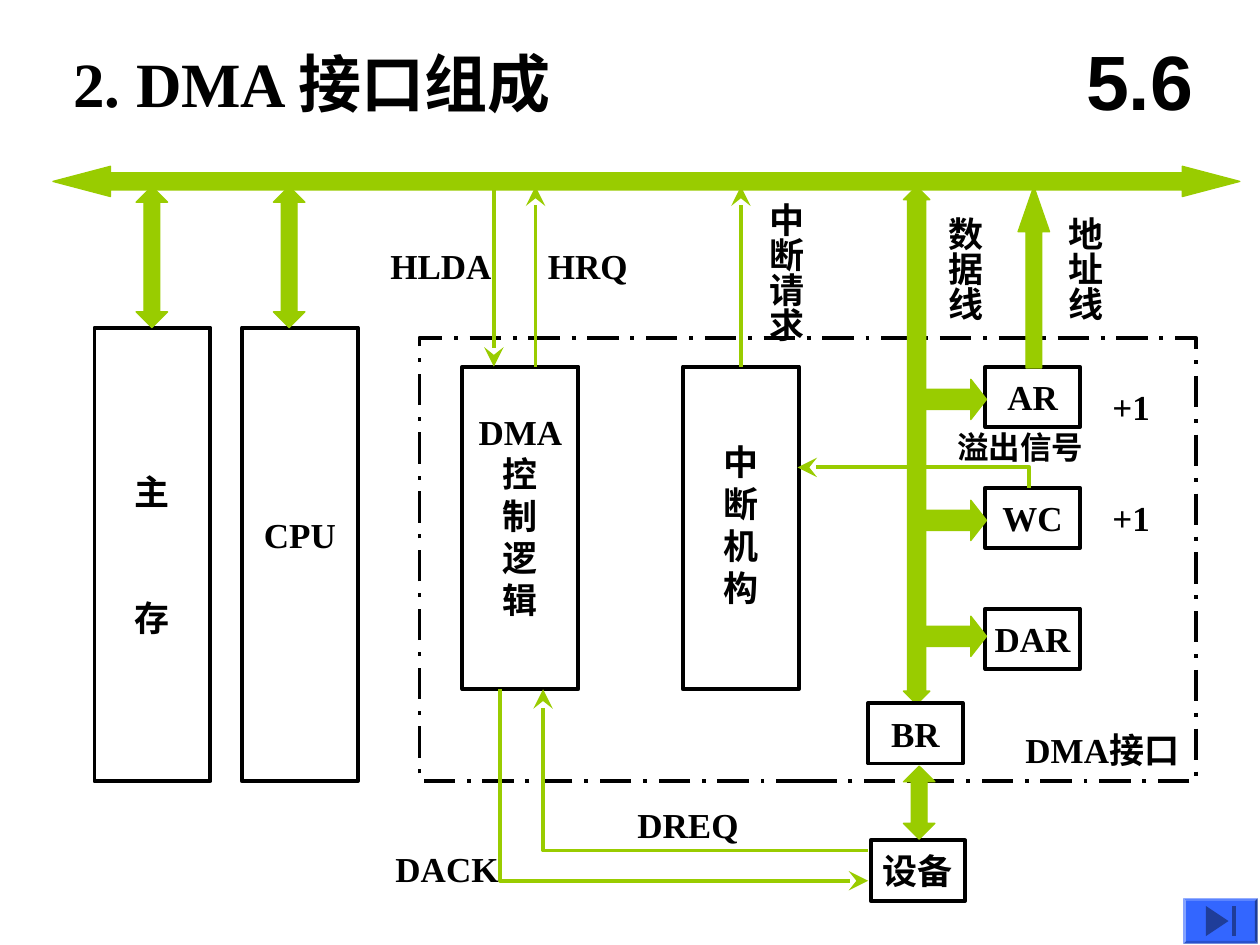
from lxml.etree import SubElement
from pptx import Presentation
from pptx.dml.color import RGBColor
from pptx.enum.dml import MSO_LINE
from pptx.enum.shapes import MSO_CONNECTOR, MSO_SHAPE as SHAPE
from pptx.enum.text import MSO_ANCHOR as ANCHOR, MSO_AUTO_SIZE as AUTO, PP_ALIGN as ALIGN
from pptx.oxml.ns import qn
from pptx.util import Inches, Pt

BLACK, GREEN, BLUE, NAVY = "000000", "99CC00", "3366FF", "1F3D99"
SERIF, SANS = "Times New Roman", "Arial"


def color(target, value):
    """Give a fill or line fill a solid hex colour."""
    target.solid()
    target.fore_color.rgb = RGBColor.from_string(value)


def inches(*lengths):
    """Convert plain numbers to lengths."""
    return [Inches(length) for length in lengths]


def write(frame, text, size=20, font=SERIF, align=ALIGN.LEFT, anchor=ANCHOR.TOP,
          margins=(0.1, 0.05, 0.1, 0.05), wrap=False, gap=0):
    """Fill a text frame with one formatted paragraph per line of text."""
    frame.text = text
    frame.word_wrap = wrap
    frame.vertical_anchor = anchor
    (frame.margin_left, frame.margin_top,
     frame.margin_right, frame.margin_bottom) = inches(*margins)
    for index, paragraph in enumerate(frame.paragraphs):
        paragraph.alignment = align
        paragraph.space_before = Pt(gap if index else 0)
        paragraph.font.size = Pt(size)
        paragraph.font.name = font
        paragraph.font.bold = True
        color(paragraph.font.fill, BLACK)


def add_label(slide, box, text, vertical=False, **format):
    """Add a free label, optionally set in vertical script."""
    frame = slide.shapes.add_textbox(*inches(*box)).text_frame
    if vertical:
        format["margins"] = (0.05, 0.1, 0.05, 0.1)
        frame._txBody.bodyPr.set("vert", "eaVert")
    write(frame, text, **format)
    frame.auto_size = AUTO.SHAPE_TO_FIT_TEXT


def add_signal_name(slide, left, top, text):
    """Add the name of a signal in a box with room to spare."""
    add_label(slide, (left, top, 1.2, 0.44), text, wrap=True)


def add_block(slide, box, text="", lift=0, gap=0):
    """Add an outlined block whose centred text may be lifted."""
    block = slide.shapes.add_shape(SHAPE.RECTANGLE, *inches(*box))
    block.shadow.inherit = False
    block.fill.background()
    color(block.line.fill, BLACK)
    block.line.width = Pt(2.25)
    if text:
        write(block.text_frame, text, align=ALIGN.CENTER, anchor=ANCHOR.MIDDLE,
              margins=(0, 0, 0, 2 * lift), gap=gap)
    return block


def add_arrow(slide, kind, box, *adjustments):
    """Add a green block arrow."""
    arrow = slide.shapes.add_shape(kind, *inches(*box))
    arrow.shadow.inherit = False
    color(arrow.fill, GREEN)
    color(arrow.line.fill, GREEN)
    arrow.line.width = Pt(0.75)
    for index, value in enumerate(adjustments):
        arrow.adjustments[index] = value


def add_up_down_arrow(slide, box, body, head):
    """Add a two-way upright arrow, whose head adjustment comes first."""
    add_arrow(slide, SHAPE.UP_DOWN_ARROW, box, head, body)


def style_signal(signal):
    """Make a line a green signal with a large stealth head."""
    color(signal.line.fill, GREEN)
    signal.line.width = Pt(2.25)
    outline = signal._element.spPr.find(qn("a:ln"))
    SubElement(outline, qn("a:tailEnd"), type="stealth", w="lg", len="lg")


def add_signal(slide, start, end):
    """Add a straight signal line."""
    signal = slide.shapes.add_connector(MSO_CONNECTOR.STRAIGHT, *inches(*start, *end))
    style_signal(signal)
    SubElement(signal._element.spPr, qn("a:effectLst"))
    return signal


def add_outline(slide, points, close=False):
    """Add a freeform through the given points."""
    start, *others = [inches(*point) for point in points]
    builder = slide.shapes.build_freeform(*start)
    builder.add_line_segments(others, close=close)
    outline = builder.convert_to_shape()
    outline.shadow.inherit = False
    return outline


def add_bent_signal(slide, points):
    """Add a signal line with a corner."""
    signal = add_outline(slide, points)
    signal.fill.background()
    style_signal(signal)


def build_heading(slide, left, top, width):
    """Place the title and the section number."""
    title = slide.shapes.title
    title.left, title.top, title.width, title.height = inches(left, top, 4.52, 0.7)
    write(title.text_frame, "2. DMA 接口组成", size=36, wrap=True)
    number = slide.shapes.add_textbox(*inches(left + width - 1.25, top - 0.13, 1.25, 0.92))
    write(number.text_frame, "5.6", size=44, font=SANS, align=ALIGN.CENTER,
          anchor=ANCHOR.MIDDLE, wrap=True)


def build_host(slide, left, top, width):
    """Place the bus with the main memory and the CPU below it."""
    add_arrow(slide, SHAPE.LEFT_RIGHT_ARROW, (left, top, width, 0.24), 0.568, 1.9)
    units = [("主\n存", 0, 48), ("CPU", 0.16, 0)]
    for index, (name, lift, gap) in enumerate(units):
        x = left + 0.33 + 1.17 * index
        add_block(slide, (x, top + 1.28, 0.92, 3.6), name, lift, gap)
        add_up_down_arrow(slide, (x + 0.33 - 0.08 * index, top + 0.16, 0.25, 1.12), 0.5, 0.892)


def build_control(slide, left, top, bus):
    """Place the control logic and interrupt blocks with their bus signals."""
    add_block(slide, (left, top, 0.92, 2.56), "DMA\n控\n制\n逻\n辑", lift=0.1)
    add_signal(slide, (left + 0.25, bus), (left + 0.25, top))
    add_signal(slide, (left + 0.58, top), (left + 0.58, bus))
    add_signal_name(slide, left - 0.67, bus + 0.41, "HLDA")
    add_signal_name(slide, left + 0.58, bus + 0.41, "HRQ")

    interrupt = add_block(slide, (left + 1.75, top, 0.92, 2.56), "中\n断\n机\n构", lift=0.03)
    middle = left + 2.21
    request = add_signal(slide, (middle, top), (middle, bus))
    request.begin_connect(interrupt, 0)
    add_label(slide, (left + 2.25, bus + 0.03, 0.53, 1.22), "中断请求", vertical=True)


def build_registers(slide, left, top, bus):
    """Place the registers with their data and address lines."""
    add_up_down_arrow(slide, (left - 0.65, bus, 0.21, 4.11), 0.688, 1.489)
    rows = [("AR", 0.1, 0.1), ("WC", 0.1, 0.02), ("DAR", 0.06, None)]
    for index, (name, arrow_drop, step_drop) in enumerate(rows):
        y = top + 0.96 * index
        add_block(slide, (left, y, 0.75, 0.48), name)
        add_arrow(slide, SHAPE.RIGHT_ARROW, (left - 0.49, y + arrow_drop, 0.5, 0.32), 0.5, 0.389)
        if step_drop is not None:
            add_label(slide, (left + 0.91, y + step_drop, 0.5, 0.44), "+1")
    add_block(slide, (left - 0.93, top + 2.67, 0.75, 0.48), "BR")
    add_arrow(slide, SHAPE.UP_ARROW, (left + 0.26, bus, 0.25, 1.44), 0.5, 1.439)
    for name, x in (("数据线", left - 0.48), ("地址线", left + 0.48)):
        add_label(slide, (x, bus + 0.14, 0.53, 0.94), name, vertical=True)
    corner = (left + 0.35, top + 0.8)
    add_bent_signal(slide, [(corner[0], top + 0.96), corner, (left - 1.49, corner[1])])
    add_label(slide, (left - 0.32, top + 0.44, 1.2, 0.4), "溢出信号", size=18)


def build_interface(slide, left, top, width, height, bus):
    """Place the dashed DMA interface and everything in it."""
    frame = add_block(slide, (left, top, width, height))
    frame.line.dash_style = MSO_LINE.LONG_DASH_DOT
    add_label(slide, (left + width - 1.45, top + height - 0.47, 1.49, 0.44), "DMA接口")
    build_control(slide, left + 0.34, top + 0.23, bus)
    build_registers(slide, left + 4.49, top + 0.23, bus)


def build_device(slide, left, top, logic_bottom):
    """Place the device with its request and acknowledge lines."""
    add_block(slide, (left, top, 0.75, 0.48), "设备")
    add_up_down_arrow(slide, (left + 0.26, top - 0.59, 0.25, 0.58), 0.5, 0.464)
    edge, request_x, reply_x = left - 0.02, left - 2.6, left - 2.94
    request_y, reply_y = top + 0.08, top + 0.32
    add_bent_signal(slide, [(edge, request_y), (request_x, request_y), (request_x, logic_bottom)])
    add_bent_signal(slide, [(reply_x, logic_bottom), (reply_x, reply_y), (edge, reply_y)])
    add_signal_name(slide, left - 1.95, top - 0.34, "DREQ")
    add_signal_name(slide, left - 3.87, top + 0.01, "DACK")


def build_button(slide, left, top, width, height):
    """Place the skip-to-end button."""
    button = slide.shapes.add_shape(SHAPE.BEVEL, *inches(left, top, width, height))
    button.adjustments[0] = 0.06
    high, low = top + 0.06, top + 0.3
    triangle = [(left + 0.18, high), (left + 0.36, top + 0.18), (left + 0.18, low)]
    bar = [(left + 0.39, high), (left + 0.42, high), (left + 0.42, low), (left + 0.39, low)]
    symbols = [add_outline(slide, points, close=True) for points in (triangle, bar)]
    for part, shade in zip([button, *symbols], (BLUE, NAVY, NAVY)):
        part.shadow.inherit = False
        color(part.fill, shade)
        part.line.fill.background()


def main():
    """Build the slide and save it."""
    deck = Presentation()
    deck.slide_width, deck.slide_height = inches(10, 7.5)
    slide = deck.slides.add_slide(deck.slide_layouts[5])
    build_heading(slide, 0.48, 0.3, 9.19)
    build_host(slide, 0.42, 1.32, 9.42)
    build_interface(slide, 3.33, 2.68, 6.16, 3.52, bus=1.48)
    build_device(slide, 6.91, 6.67, logic_bottom=5.47)
    build_button(slide, 9.39, 7.13, 0.59, 0.36)
    deck.save("out.pptx")


if __name__ == "__main__":
    main()
